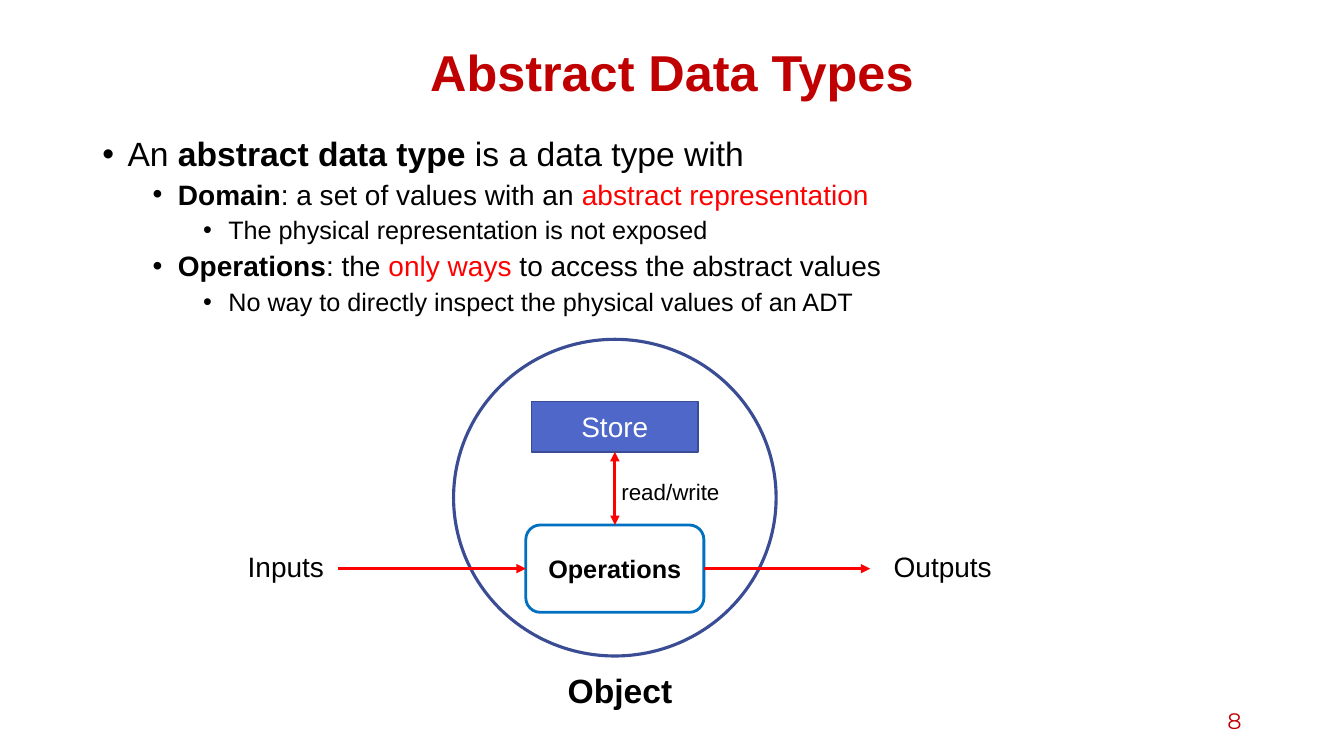
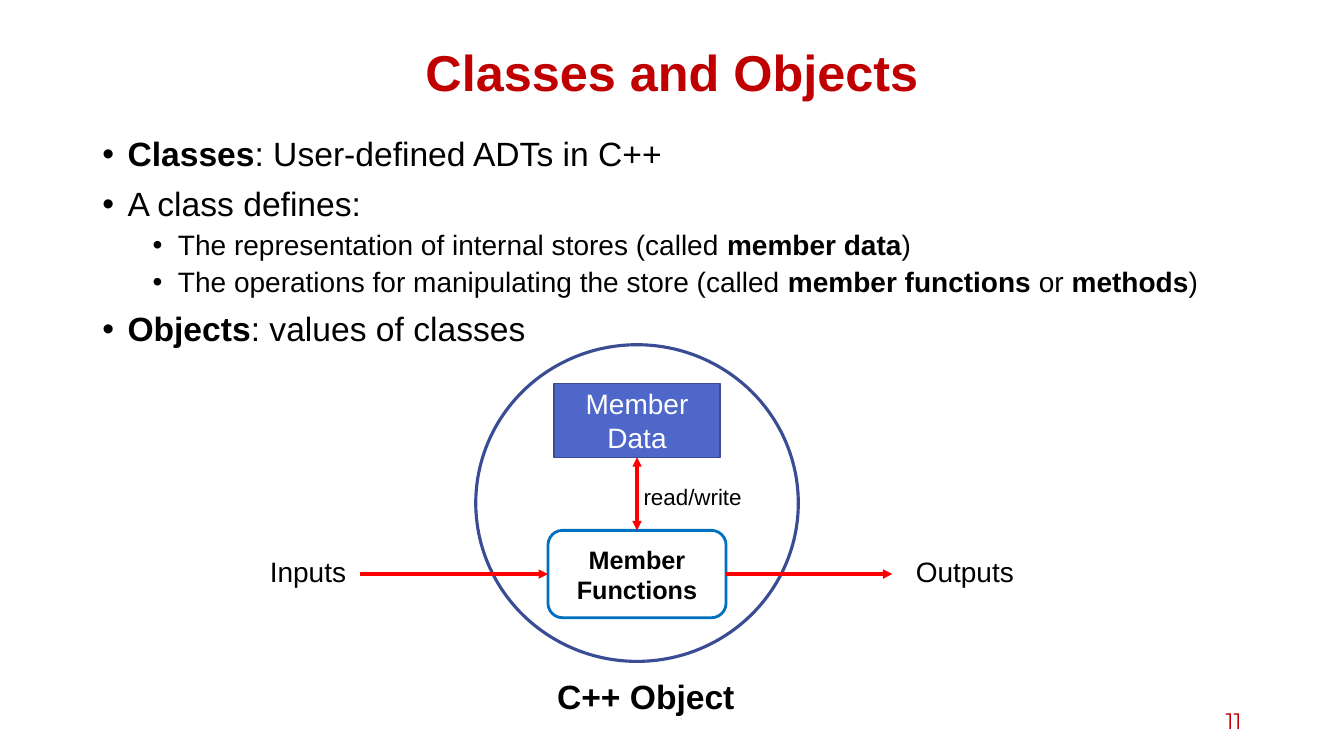
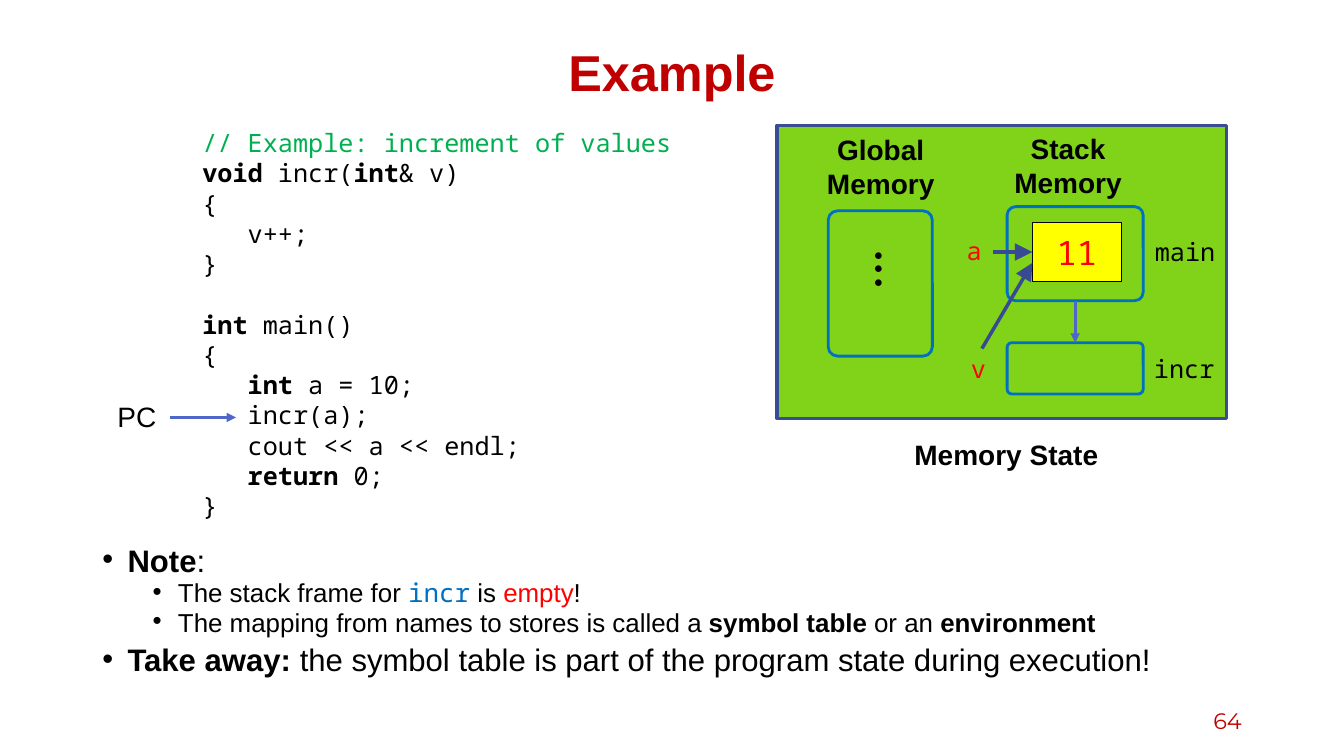
"""Build three lecture slides on abstract data types, classes and memory state."""
import pptx
import pptx.dml.color
import pptx.enum.shapes
import pptx.enum.text
import pptx.oxml
import pptx.oxml.ns
import pptx.util


class Theme:
    black, white, red = "000000", "FFFFFF", "FF0000"
    title, indigo, navy, arrow = "C00000", "4E67C8", "3A4C94", "374A92"
    blue, green, lime, yellow = "0070C0", "00B050", "81D31A", "FFFF00"
    sans, mono, number = "Arial", "Noto Sans Mono", "Montserrat"
    title_size, heading, label, small, note, dots = 36, 24, 20, 18, 16, 11
    hairline, outline, stroke, heavy = 1, 2, 2.25, 2.5
    marks = {"*": {"bold": True}, "!": {"color": "FF0000"},
             "`": {"color": "0070C0", "font": "Noto Sans Mono"},
             "/": {"color": "00B050"}}


Kind = pptx.enum.shapes.MSO_SHAPE
Align = pptx.enum.text.PP_ALIGN
Anchor = pptx.enum.text.MSO_ANCHOR
RGB = pptx.dml.color.RGBColor.from_string
Pt = pptx.util.Pt

deck = pptx.Presentation()
deck.slide_width = pptx.util.Inches(13.33)
deck.slide_height = pptx.util.Inches(7.5)
COL, ROW = deck.slide_width / 160, deck.slide_height / 90


def put(page, kind, at, text="", size=Theme.label, color=Theme.black, bold=False,
        font=Theme.sans, align=Align.LEFT, fill=None, line=None, weight=Theme.outline):
    """Add a shape, or a text box if kind is None; |* |! |` |/ open a marked span."""
    place = [round(length * unit) for length, unit in zip(at, (COL, ROW, COL, ROW))]
    if kind is None:
        box = page.shapes.add_textbox(*place)
    else:
        box = page.shapes.add_shape(kind, *place)
        box.shadow.inherit = False
        box.text_frame.vertical_anchor = Anchor.MIDDLE
        if fill:
            box.fill.solid()
            box.fill.fore_color.rgb = RGB(fill)
        else:
            box.fill.background()
        box.line.color.rgb = RGB(line)
        box.line.width = Pt(weight)
    frame = box.text_frame
    frame.word_wrap = True
    for index, words in enumerate(text.split("\n") if text else []):
        para = frame.add_paragraph() if index else frame.paragraphs[0]
        para.alignment = align
        for turn, piece in enumerate(words.split("|")):
            if not piece:
                continue
            look = Theme.marks[piece[0]] if turn % 2 else {}
            span = para.add_run()
            span.text = piece[1:] if turn % 2 else piece
            span.font.size = Pt(size)
            span.font.name = look.get("font", font)
            span.font.bold = look.get("bold", bold)
            span.font.color.rgb = RGB(look.get("color", color))
    return box


def arrow(page, start, end, color=Theme.red, weight=Theme.stroke, ends=("tailEnd",), scale="med"):
    """Add a straight connector with triangle heads at the named ends."""
    link = page.shapes.add_connector(
        pptx.enum.shapes.MSO_CONNECTOR.STRAIGHT,
        round(start[0] * COL), round(start[1] * ROW), round(end[0] * COL), round(end[1] * ROW))
    link.line.color.rgb = RGB(color)
    link.line.width = Pt(weight)
    for name in ends:
        head = pptx.oxml.ns.qn("a:" + name)
        stroke = link.line._get_or_add_ln()
        stroke.append(stroke.makeelement(head, {"type": "triangle", "w": scale, "len": scale}))
    props = link._element.spPr
    props.append(props.makeelement(pptx.oxml.ns.qn("a:effectLst"), {}))
    return link


slides = [
    ("Abstract Data Types", "8", 15.8, 0.9, (24, 20, 18), [
        (0, "An |*abstract data type |is a data type with"),
        (1, "|*Domain|: a set of values with an |!abstract representation"),
        (2, "The physical representation is not exposed"),
        (1, "|*Operations|: the |!only ways |to access the abstract values"),
        (2, "No way to directly inspect the physical values of an ADT")]),
    ("Classes and Objects", "11", 15.8, 0.9, (24, 20, 18), [
        (0, "|*Classes|: User-defined ADTs in C++"),
        (0, "A class defines:"),
        (1, "The representation of internal stores (called |*member data|)"),
        (1, "The operations for manipulating the store (called |*member functions |or |*methods|)"),
        (0, "|*Objects|: values of classes")]),
    ("Example", "64", 65, 0.72, (22.2, 18.5, 18), [
        (0, "|*Note|:"),
        (1, "The stack frame for |`incr| is |!empty|!"),
        (1, "The mapping from names to stores is called a |*symbol table |or an |*environment"),
        (0, "|*Take away: |the symbol table is part of the program state during execution!")]),
]
pages = []
for heading, number, top, spacing, sizes, points in slides:
    page = deck.slides.add_slide(deck.slide_layouts[5])
    pages.append(page)
    title = page.shapes.title
    title.left, title.top = round(11 * COL), round(4.8 * ROW)
    title.width, title.height = round(138 * COL), round(8.4 * ROW)
    title.text_frame.text = heading
    title.text_frame.vertical_anchor = Anchor.MIDDLE
    para = title.text_frame.paragraphs[0]
    para.alignment, para.line_spacing = Align.CENTER, 0.9
    span = para.runs[0]
    span.font.name, span.font.size, span.font.bold = Theme.sans, Pt(Theme.title_size), True
    span.font.color.rgb = RGB(Theme.title)

    body = put(page, None, (11, top, 138, 82 - top), "\n".join(words for _, words in points))
    for para, (level, _) in zip(body.text_frame.paragraphs, points):
        para.level, para.line_spacing = level, spacing
        para.space_before = Pt(5 if level else 10)
        props = para._p.get_or_add_pPr()
        props.set("marL", str(pptx.util.Inches(0.25 + 0.5 * level)))
        props.set("indent", str(pptx.util.Inches(-0.25)))
        for tag, value in (("buFont", ("typeface", Theme.sans)), ("buChar", ("char", "•"))):
            props.append(props.makeelement(pptx.oxml.ns.qn("a:" + tag), dict([value])))
        for span in para.runs:
            span.font.size = Pt(sizes[level])

    corner = put(page, None, (113, 83.4, 36, 4.8), number, Theme.note, Theme.title,
                 font=Theme.number, align=Align.RIGHT)
    corner.text_frame.vertical_anchor = Anchor.MIDDLE

diagrams = [
    (pages[0], 73.2, 40.4, "Store", 6, "Operations", "Object", 6.8, 15.6),
    (pages[1], 75.84, 41.04, "Member Data", 8.8, "Member Functions", "C++ Object", 10.7, 26.2),
]
for page, middle, top, data, height, actions, caption, shift, width in diagrams:
    axis = top + 27.3
    store = put(page, Kind.RECTANGLE, (middle - 9.9, top + 13.4 - height, 19.8, height), data,
                color=Theme.white, align=Align.CENTER, fill=Theme.indigo, line=Theme.navy,
                weight=Theme.hairline)
    put(page, Kind.OVAL, (middle - 19.2, top, 38.4, 37.7), line=Theme.navy, weight=Theme.stroke)
    operations = put(page, Kind.ROUNDED_RECTANGLE, (middle - 10.6, axis - 5.2, 21.2, 10.4),
                     actions, Theme.small, bold=True, align=Align.CENTER, line=Theme.blue)
    inward = arrow(page, (middle - 33, axis), (middle - 10.6, axis))
    inward.end_connect(operations, 1)
    outward = arrow(page, (middle + 10.6, axis), (middle + 30.4, axis))
    outward.begin_connect(operations, 3)
    access = arrow(page, (middle, top + 13.4), (middle, axis - 5.2), ends=("headEnd", "tailEnd"))
    access.begin_connect(store, 2)
    access.end_connect(operations, 0)
    put(page, None, (middle - shift, top + 38.8, width, 6), caption, Theme.heading, bold=True)
    put(page, None, (middle - 44.9, axis - 2.9, 12.8, 5.3), "Inputs")
    put(page, None, (middle + 32, axis - 2.9, 15.8, 5.3), "Outputs")
    put(page, None, (middle - 0.4, top + 15.9, 19.6, 4.4), "read/write", Theme.note)

page = pages[2]
code = [
    (0, "|/// Example: increment of values"),
    (0, "|*void |incr(|*int|& v)"),
    (0, "{"),
    (1, "v++;"),
    (0, "}"),
    (0, "|*int| main()"),
    (0, "{"),
    (1, "|*int| a = 10;"),
    (1, "incr(a);"),
    (1, "cout << a << endl;"),
    (1, "|*return| 0;"),
    (0, "}"),
]
listing = put(page, None, (22.9, 14.6, 59.3, 48.5), "\n".join(words for _, words in code),
              Theme.small, font=Theme.mono)
for para, (depth, words) in zip(listing.text_frame.paragraphs, code):
    para._p.get_or_add_pPr().set("marL", str(pptx.util.Inches(0.45 * depth)))
    if words.endswith("main()"):
        para.space_before = Pt(21.6)

put(page, None, (12.8, 47, 8, 5.3), "PC")
arrow(page, (20.3, 49.7), (28.1, 49.7), Theme.indigo)

put(page, Kind.RECTANGLE, (92.5, 14.9, 53.5, 34.9), fill=Theme.lime, line=Theme.navy,
    weight=Theme.stroke)
for at, words in [((100.9, 51.5, 37.8, 5.3), "Memory State"),
                  ((118.2, 15.1, 17.9, 9.2), "Stack\nMemory"),
                  ((95.9, 15.2, 17.9, 9.2), "Global\nMemory")]:
    put(page, None, at, words, bold=True, align=Align.CENTER)

ellipsis = put(page, None, (99.7, 32, 10.1, 3.5), "● ● ●", Theme.dots)
ellipsis.rotation = 90
frames = []
for at in [(98.6, 25.1, 12.4, 17.3), (119.9, 24.6, 16.2, 11.2), (119.9, 40.8, 16.2, 6.1)]:
    area = put(page, Kind.ROUNDED_RECTANGLE, at, line=Theme.blue)
    area.adjustments[0] = 0.09
    frames.append(area)
call = arrow(page, (128, 35.8), (128, 40.8), Theme.indigo)
call.begin_connect(frames[1], 2)
call.end_connect(frames[2], 0)

cell = put(page, Kind.RECTANGLE, (122.9, 26.5, 10.6, 7), "11", Theme.heading, Theme.red,
           font=Theme.mono, align=Align.CENTER, fill=Theme.yellow, line=Theme.black,
           weight=Theme.hairline)
reference = arrow(page, (118.2, 30), (122.9, 30), Theme.arrow, Theme.heavy, scale="lg")
reference.end_connect(cell, 1)
arrow(page, (116.9, 41.5), (122.9, 31.3), Theme.arrow, Theme.heavy, scale="lg")
for at, words, color in [((136.3, 27.6, 10, 4.8), "main", Theme.black),
                         ((136.2, 41.5, 10, 4.8), "incr", Theme.black),
                         ((113.9, 27.4, 4.2, 4.8), "a", Theme.red),
                         ((114.4, 41.5, 5.2, 4.8), "v", Theme.red)]:
    put(page, None, at, words, Theme.small, color, font=Theme.mono)

deck.save("out.pptx")
